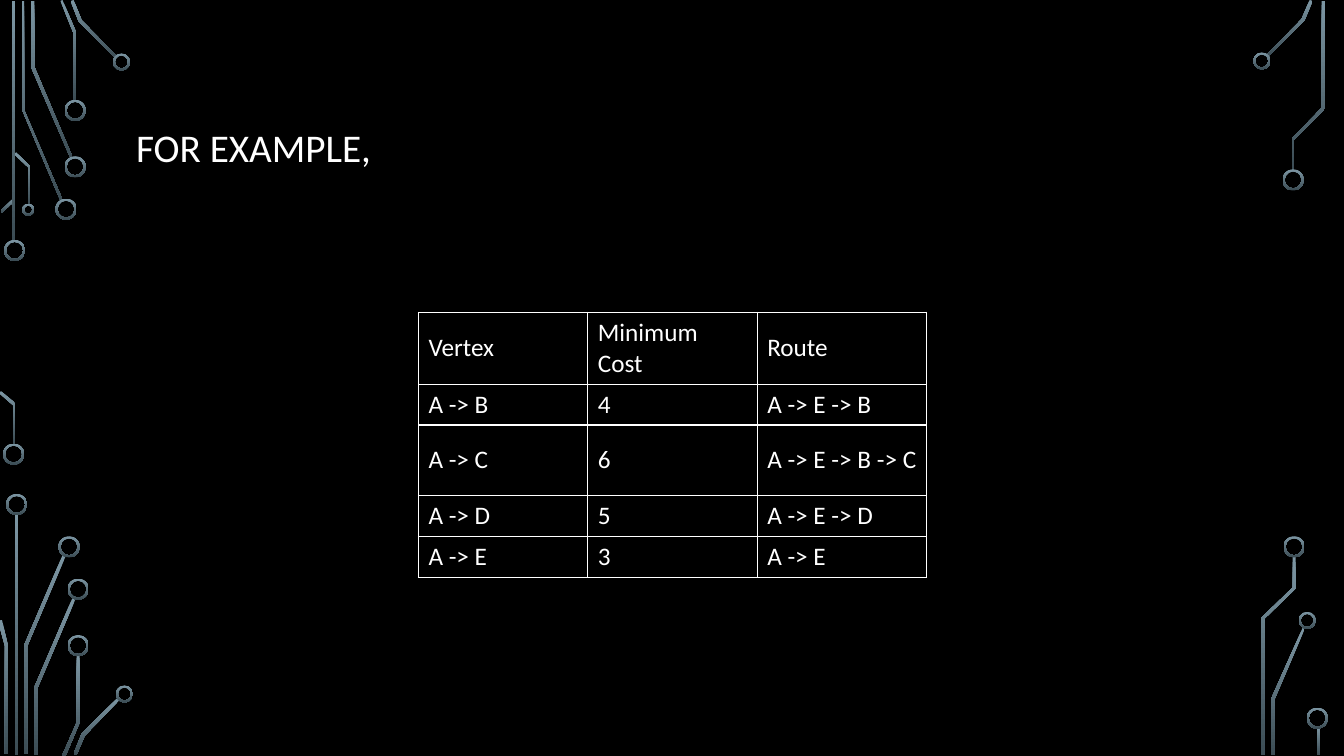
"""Build a slide with a table of cheapest routes between circuit traces."""
import pptx
import pptx.dml.color
import pptx.enum.shapes
import pptx.enum.text
import pptx.oxml
import pptx.oxml.ns
import pptx.util

PX = 9144
TRACES = [
    [(60, 199), (22, 109), (22, 1), (24, 1), (24, 109), (62, 198)],
    [(70, 157), (31, 67), (31, 1), (34, 1), (34, 66), (72, 156)],
    [(76, 100), (73, 100), (73, 33), (60, 1), (62, 0), (76, 33)],
    [(115, 58), (78, 21), (70, 1), (73, 0), (81, 20), (116, 56)],
    [(2, 211), (1, 209), (13, 197), (15, 199)],
    [(15, 441), (13, 441), (13, 402), (-1, 390), (1, 388), (15, 400)],
    [(30, 203), (28, 203), (28, 166), (14, 153), (16, 151), (30, 165)],
    [(27, 748), (24, 748), (24, 640), (62, 551), (65, 552), (27, 641)],
    [(8, 748), (5, 748), (5, 641), (-2, 616), (2, 615), (8, 641)],
    [(37, 749), (34, 749), (34, 682), (72, 593), (75, 594), (37, 683)],
    [(65, 750), (62, 749), (76, 717), (76, 650), (79, 650), (79, 717)],
    [(76, 749), (73, 748), (81, 728), (117, 692), (119, 694), (84, 730)],
    [(1258, 56), (1256, 55), (1291, 19), (1299, 0), (1302, 1), (1294, 20)],
    [(1264, 749), (1261, 749), (1261, 693), (1292, 623), (1294, 624),
     (1264, 694)],
    [(1283, 169), (1281, 169), (1281, 138), (1311, 107), (1311, 1),
     (1314, 1), (1314, 108), (1283, 139)],
    [(1254, 749), (1251, 749), (1251, 613), (1282, 583), (1282, 552),
     (1285, 552), (1285, 584), (1254, 614)],
]
BARS = [(12, 1, 239), (15, 510, 239), (1306, 721, 28)]
RINGS = {
    21: [(4, 238), (3, 440), (55, 197), (64, 155), (64, 99), (6, 490),
         (58, 532), (67, 574), (67, 630), (1272, 168), (1273, 532),
         (1296, 702)],
    17: [(112, 53), (115, 680), (1243, 52), (1288, 607)],
    12: [(22, 202)],
}
ROUTES = [
    ("Vertex", "Minimum Cost", "Route"),
    ("A -> B", "4", "A -> E -> B"),
    ("A -> C", "6", "A -> E -> B -> C"),
    ("A -> D", "5", "A -> E -> D"),
    ("A -> E", "3", "A -> E"),
]


def tint(code):
    """Turn a hex string into a colour."""
    return pptx.dml.color.RGBColor.from_string(code)


def write(frame, text, size=18, hue="FFFFFF", font="Calibri", space=None):
    """Put formatted, left-aligned text in a text frame."""
    frame.text = text
    para = frame.paragraphs[0]
    para.alignment = pptx.enum.text.PP_ALIGN.LEFT
    para.line_spacing = space
    style = para.runs[0].font
    style.size = pptx.util.Pt(size)
    style.name = font
    style.color.rgb = tint(hue)


class Board:
    """Hold the style and the current slide."""

    ground = "000000"
    line = "FFFFFF"
    fade = ("7C96A3", "3B4C54")
    middle = pptx.enum.text.MSO_ANCHOR.MIDDLE

    def __init__(self, deck):
        """Add a blank titled slide on the ground colour."""
        self.slide = deck.slides.add_slide(deck.slide_layouts[5])
        self.shapes = self.slide.shapes
        fill = self.slide.background.fill
        fill.solid()
        fill.fore_color.rgb = tint(self.ground)

    def paint(self, shape):
        """Give a shape the downward fade with no line or shadow."""
        shape.shadow.inherit = False
        shape.line.fill.background()
        shape.fill.gradient()
        shape.fill.gradient_angle = 270
        for stop, code in zip(shape.fill.gradient_stops, self.fade):
            stop.color.rgb = tint(code)

    def trace(self, points):
        """Draw a closed outline through the points."""
        pen = self.shapes.build_freeform(*points[0], scale=PX)
        pen.add_line_segments(points[1:], close=True)
        self.paint(pen.convert_to_shape())

    def bar(self, left, top, high):
        """Draw a thin upright bar."""
        kind = pptx.enum.shapes.MSO_SHAPE.RECTANGLE
        box = (left * PX, top * PX, 3 * PX, high * PX)
        self.paint(self.shapes.add_shape(kind, *box))

    def ring(self, left, top, size):
        """Draw a ring with a rim of two px."""
        kind = pptx.enum.shapes.MSO_SHAPE.DONUT
        box = (left * PX, top * PX, size * PX, size * PX)
        shape = self.shapes.add_shape(kind, *box)
        shape.adjustments[0] = 2 / size
        self.paint(shape)

    def title(self, text, left, top, wide, high):
        """Move and fill the title placeholder."""
        head = self.shapes.title
        head.left, head.top = left * PX, top * PX
        head.width, head.height = wide * PX, high * PX
        head.text_frame.vertical_anchor = self.middle
        write(head.text_frame, text, size=28, space=0.9)

    def border(self, cell):
        """Rule all four sides of a cell."""
        props = cell._tc.get_or_add_tcPr()
        space = pptx.oxml.ns.nsdecls("a")
        for side in "LRTB":
            props.append(pptx.oxml.parse_xml(
                f'<a:ln{side} {space} w="12700"><a:solidFill>'
                f'<a:srgbClr val="{self.line}"/></a:solidFill></a:ln{side}>'))

    def table(self, rows, left, top, wide, highs):
        """Add a ruled table with equal columns."""
        count = len(rows[0])
        box = (left * PX, top * PX, wide * count * PX, sum(highs) * PX)
        grid = self.shapes.add_table(len(rows), count, *box).table
        grid.first_row = grid.horz_banding = False
        for col in grid.columns:
            col.width = wide * PX
        for row, high, texts in zip(grid.rows, highs, rows):
            row.height = high * PX
            for cell, text in zip(row.cells, texts):
                self.border(cell)
                cell.fill.background()
                cell.vertical_anchor = self.middle
                write(cell.text_frame, text)


def main():
    """Build and save the slide."""
    deck = pptx.Presentation()
    deck.slide_width, deck.slide_height = 1333 * PX, 750 * PX
    board = Board(deck)
    for points in TRACES:
        board.trace(points)
    for spot in BARS:
        board.bar(*spot)
    for size, spots in RINGS.items():
        for left, top in spots:
            board.ring(left, top, size)
    board.title("FOR EXAMPLE,", 125, 68, 1083, 162)
    board.table(ROUTES, 415, 310, 168, (70, 40, 70, 40, 40))
    deck.save("out.pptx")


if __name__ == "__main__":
    main()
